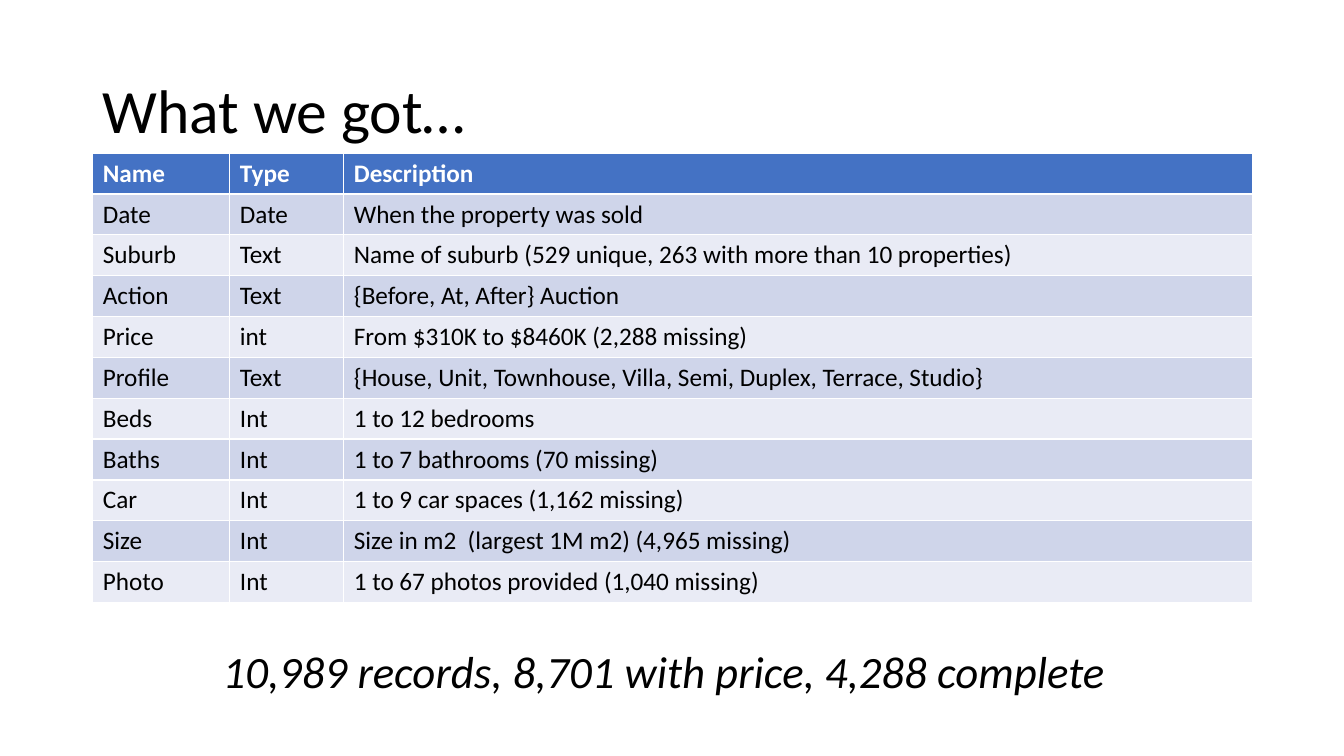
from pptx import Presentation
from pptx.dml.color import RGBColor
from pptx.enum import text
from pptx.util import Inches, Pt

TITLE = "What we got…"
TOTAL = "10,989 records, 8,701 with price, 4,288 complete"
FIELDS = [
    ("Name", "Type", "Description"),
    ("Date", "Date", "When the property was sold"),
    ("Suburb", "Text", "Name of suburb (529 unique, 263 with more than 10 properties)"),
    ("Action", "Text", "{Before, At, After} Auction"),
    ("Price", "int", "From $310K to $8460K (2,288 missing)"),
    ("Profile", "Text", "{House, Unit, Townhouse, Villa, Semi, Duplex, Terrace, Studio}"),
    ("Beds", "Int", "1 to 12 bedrooms"),
    ("Baths", "Int", "1 to 7 bathrooms (70 missing)"),
    ("Car", "Int", "1 to 9 car spaces (1,162 missing)"),
    ("Size", "Int", "Size in m2  (largest 1M m2) (4,965 missing)"),
    ("Photo", "Int", "1 to 67 photos provided (1,040 missing)"),
]
WIDTHS = (1.36, 1.13, 9.01)
COLORS = {"head": "4472C4", "odd": "CFD5EA", "even": "E9EBF5",
          "black": "000000", "white": "FFFFFF"}


def style(frame, size, color="black", bold=False, italic=False):
    """Format every run of a text frame."""
    for para in frame.paragraphs:
        for run in para.runs:
            font = run.font
            font.name, font.size = "Calibri", Pt(size)
            font.bold, font.italic = bold, italic
            font.color.rgb = RGBColor.from_string(COLORS[color])


def label(slide, box, words, size, wrap, anchor, italic=False):
    """Add a text box and return its text frame."""
    frame = slide.shapes.add_textbox(*map(Inches, box)).text_frame
    frame.text = words
    frame.word_wrap = wrap
    frame.vertical_anchor = anchor
    style(frame, size, italic=italic)
    return frame


def grid(slide):
    """Add the table of fields."""
    box = map(Inches, (0.92, 1.52, sum(WIDTHS), 4.46))
    table = slide.shapes.add_table(len(FIELDS), len(WIDTHS), *box).table
    for col, width in zip(table.columns, WIDTHS):
        col.width = Inches(width)
    for row, field in enumerate(FIELDS):
        head = row == 0
        fill = "head" if head else "odd" if row % 2 else "even"
        for col, words in enumerate(field):
            cell = table.cell(row, col)
            cell.text = words
            cell.fill.solid()
            cell.fill.fore_color.rgb = RGBColor.from_string(COLORS[fill])
            style(cell.text_frame, 18, "white" if head else "black", bold=head)


def main():
    """Build the slide and save it."""
    deck = Presentation()
    deck.slide_width, deck.slide_height = Inches(13.33), Inches(7.5)
    slide = deck.slides.add_slide(deck.slide_layouts[6])
    title = label(slide, (0.92, 0.4, 11.5, 1.45), TITLE, 44, True,
                  text.MSO_ANCHOR.MIDDLE)
    title.paragraphs[0].line_spacing = 0.9
    grid(slide)
    total = label(slide, (2.11, 6.34, 9.11, 0.64), TOTAL, 32, False,
                  text.MSO_ANCHOR.TOP, italic=True)
    total.auto_size = text.MSO_AUTO_SIZE.SHAPE_TO_FIT_TEXT
    deck.save("out.pptx")


if __name__ == "__main__":
    main()
